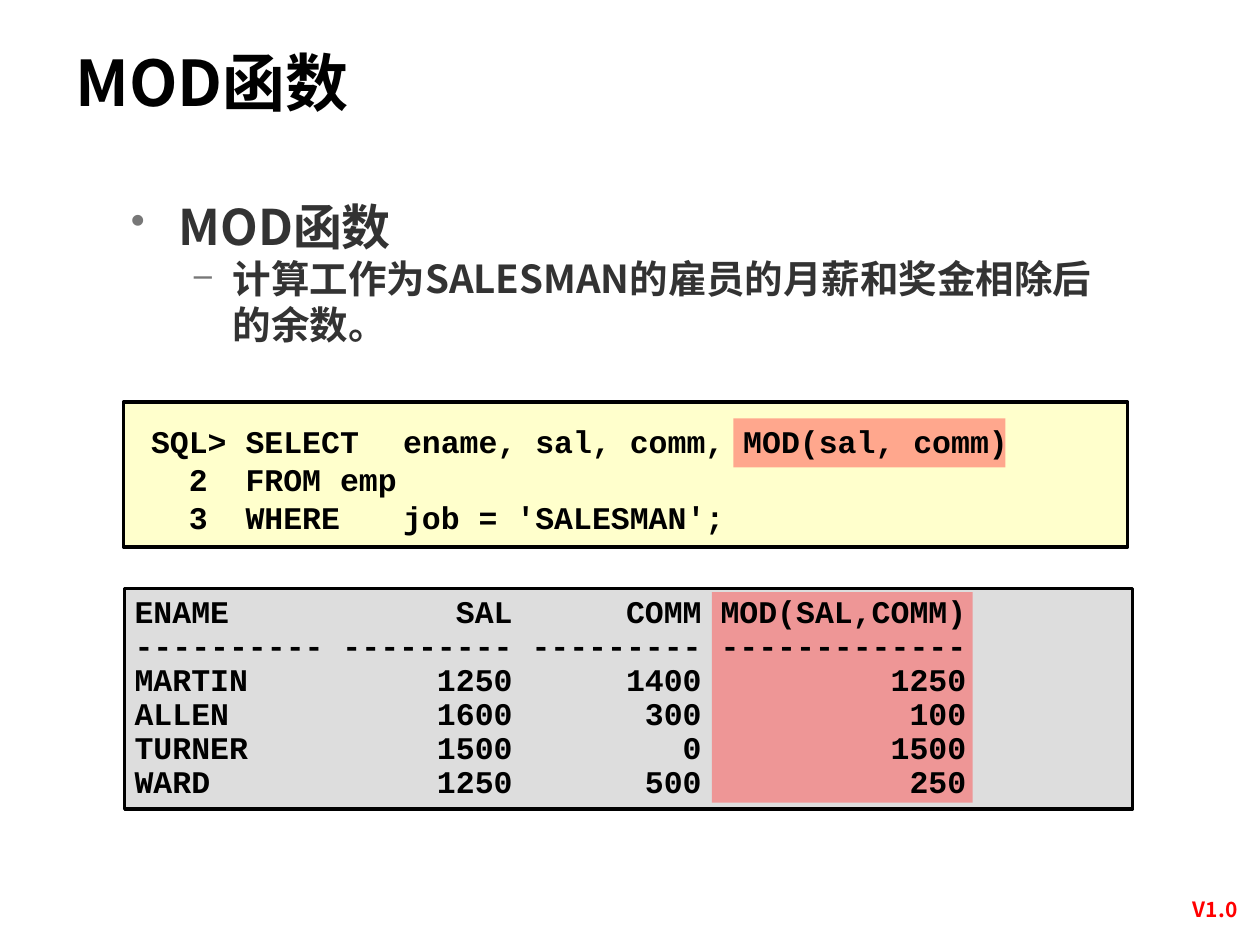
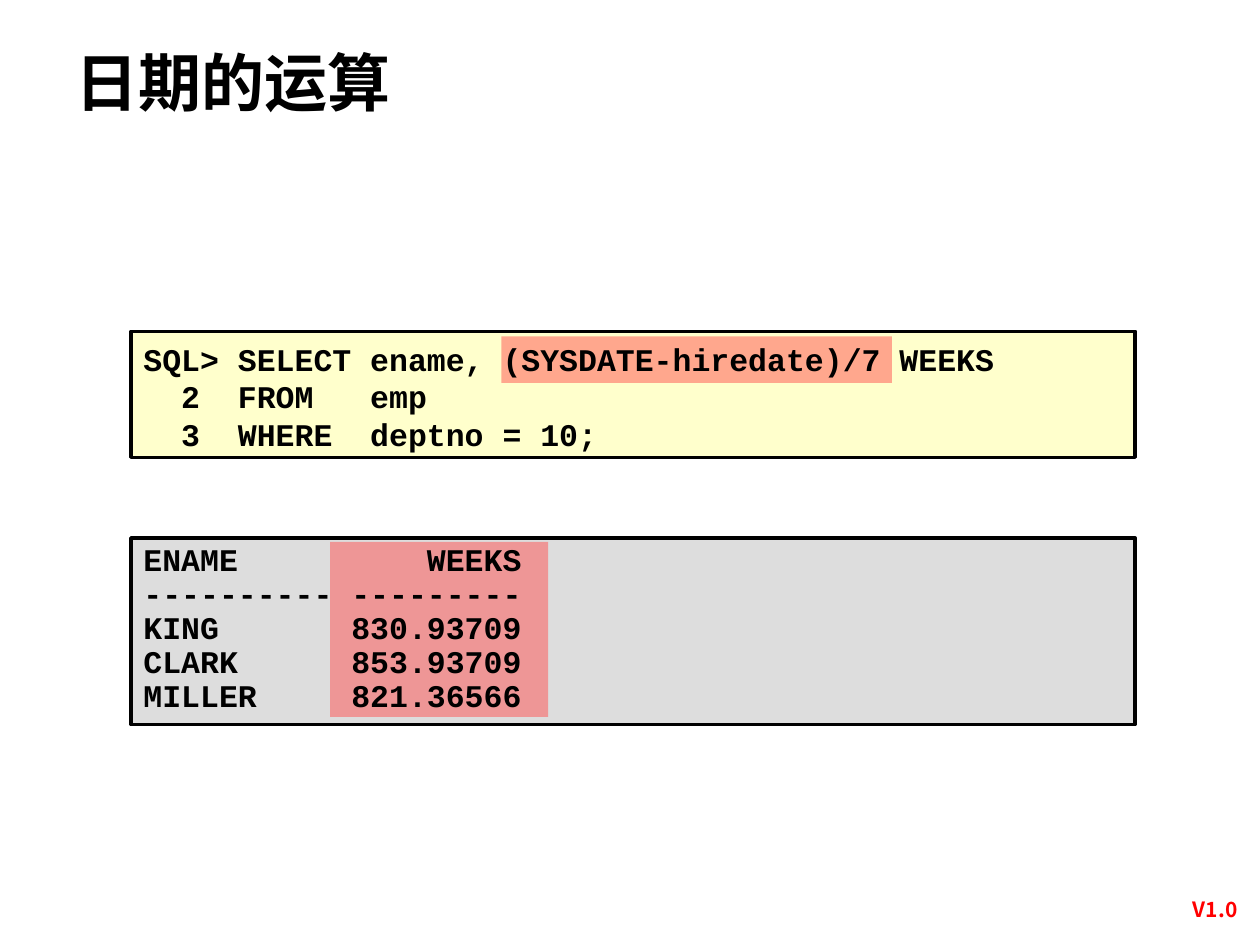
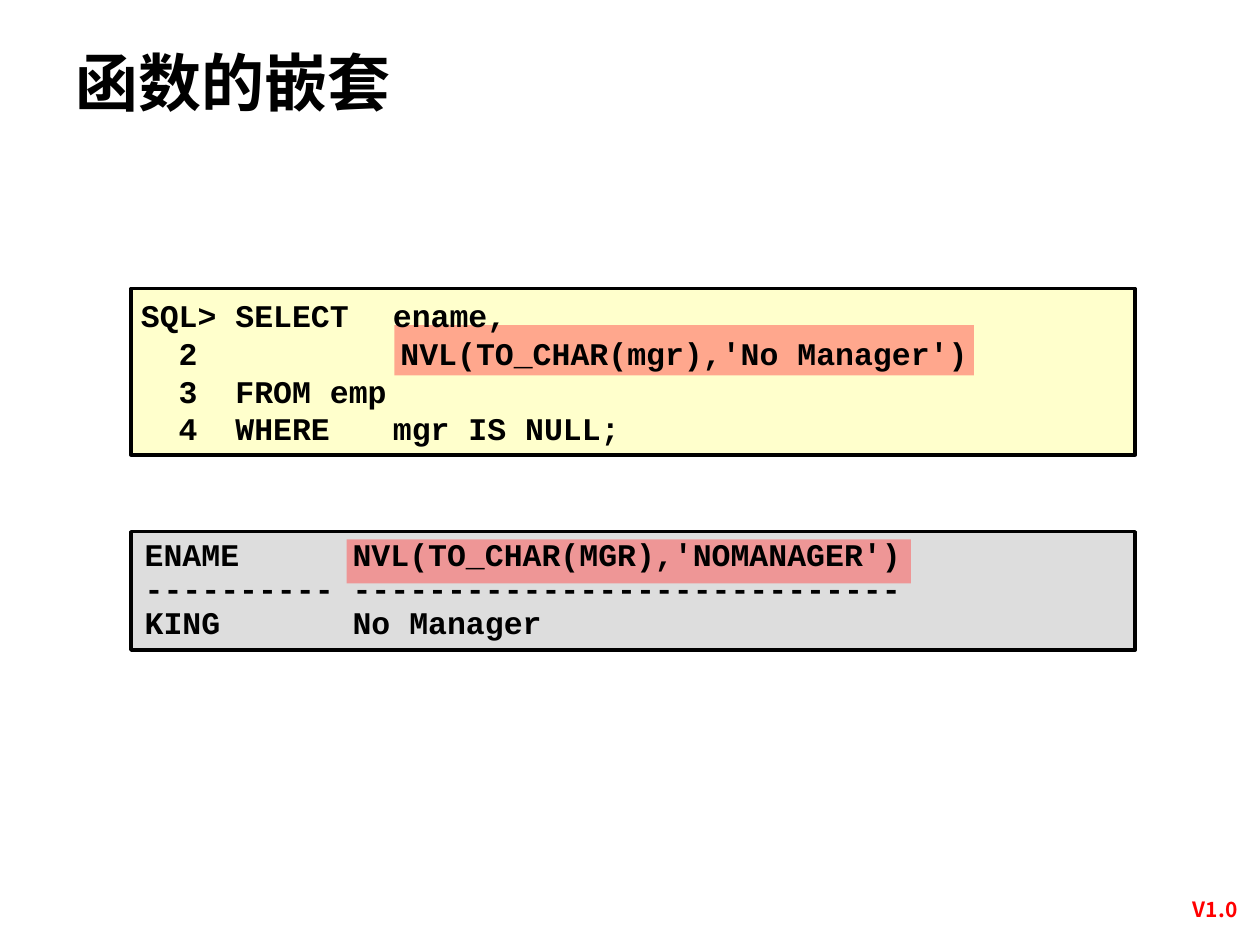
from lxml.etree import SubElement
from pptx import Presentation
from pptx.dml.color import RGBColor
from pptx.enum.shapes import MSO_SHAPE
from pptx.enum.text import MSO_ANCHOR, MSO_AUTO_SIZE, PP_ALIGN
from pptx.oxml.ns import qn
from pptx.util import Inches, Pt

COLORS = {
    "black": "000000",
    "body": "333333",
    "bullet": "777777",
    "code": "FFFFCC",
    "result": "DDDDDD",
    "highlight": "FF5050",
    "version": "FF0000",
}
SANS = "Noto Sans CJK SC"
MONO = "Courier New"
TAB_STOP = 1.31


def color(name):
    """Return the named colour."""
    return RGBColor.from_string(COLORS[name])


def add_bullet(paragraph, character, margin, hanging):
    """Give a paragraph a hanging bullet."""
    properties = paragraph._p.get_or_add_pPr()
    properties.set("marL", str(Inches(margin)))
    properties.set("indent", str(-Inches(hanging)))
    bullet_color = SubElement(properties, qn("a:buClr"))
    SubElement(bullet_color, qn("a:srgbClr"), val=COLORS["bullet"])
    SubElement(properties, qn("a:buSzPct"), val="85000")
    SubElement(properties, qn("a:buChar"), char=character)


def add_tab_stop(paragraph, position):
    """Give a paragraph one left tab stop."""
    tabs = SubElement(paragraph._p.get_or_add_pPr(), qn("a:tabLst"))
    SubElement(tabs, qn("a:tab"), pos=str(Inches(position)), algn="l")


def write_text(paragraph, text, *, size, font=SANS, fill="black",
               align=None, spacing=None, tab=None):
    """Write bold text into a paragraph in the given format."""
    if tab:
        add_tab_stop(paragraph, tab)
    paragraph.alignment = align
    paragraph.line_spacing = spacing
    run = paragraph.add_run()
    run.text = text
    run.font.size = Pt(size)
    run.font.bold = True
    run.font.name = font
    run.font.color.rgb = color(fill)
    SubElement(run._r.get_or_add_rPr(), qn("a:ea"), typeface=font)


def add_paragraphs(slide, box, count, anchor=MSO_ANCHOR.TOP, grow=True):
    """Add a wrapping text box and return its empty paragraphs."""
    frame = slide.shapes.add_textbox(*map(Inches, box)).text_frame
    frame.word_wrap = True
    frame.auto_size = MSO_AUTO_SIZE.SHAPE_TO_FIT_TEXT if grow else MSO_AUTO_SIZE.NONE
    frame.vertical_anchor = anchor
    for _ in range(count - 1):
        frame.add_paragraph()
    return frame.paragraphs


def add_rectangle(slide, box, fill):
    """Add a plain filled rectangle without a line."""
    shape = slide.shapes.add_shape(MSO_SHAPE.RECTANGLE, *map(Inches, box))
    shape.shadow.inherit = False
    shape.fill.solid()
    shape.fill.fore_color.rgb = color(fill)
    shape.line.fill.background()
    return shape


def add_panel(slide, box, fill):
    """Add a panel with a black outline."""
    shape = add_rectangle(slide, box, fill)
    shape.line.color.rgb = color("black")
    shape.line.width = Pt(2)


def add_highlight(slide, box):
    """Add a half-transparent red mark."""
    shape = add_rectangle(slide, box, "highlight")
    rgb = shape._element.spPr.find(qn("a:solidFill")).find(qn("a:srgbClr"))
    SubElement(rgb, qn("a:alpha"), val="50000")


def add_listing(slide, lines, box, *, spacing=None, tab=None, **frame_format):
    """Add lines of monospaced text."""
    paragraphs = add_paragraphs(slide, box, len(lines), **frame_format)
    for paragraph, line in zip(paragraphs, lines):
        write_text(paragraph, line, size=18, font=MONO, spacing=spacing, tab=tab)


def add_query(slide, lines, box, **frame_format):
    """Add the lines of a query."""
    add_listing(slide, lines, box, **frame_format)


def add_centered_query(slide, lines, box):
    """Add a query centred on the height of its box."""
    add_query(slide, lines, box, tab=TAB_STOP, anchor=MSO_ANCHOR.MIDDLE, grow=False)


def add_result(slide, lines, box):
    """Add the tightly spaced output of a query."""
    add_listing(slide, lines, box, spacing=0.9, tab=TAB_STOP)


def add_topic(slide, heading, detail):
    """Add a bulleted heading with one point below it."""
    first, second = add_paragraphs(slide, (0.94, 1.51, 8.08, 1.31), 2)
    add_bullet(first, "•", 0.38, 0.38)
    write_text(first, heading, size=28, fill="body")
    second.level = 1
    add_bullet(second, "–", 0.81, 0.31)
    write_text(second, detail, size=22, fill="body")


def add_slide(presentation, title):
    """Add a slide with its title and version mark."""
    slide = presentation.slides.add_slide(presentation.slide_layouts[6])
    version = add_paragraphs(slide, (9.25, 7.07, 0.79, 0.3), 1)[0]
    write_text(version, "V1.0", size=12, fill="version", align=PP_ALIGN.CENTER)
    heading = add_paragraphs(slide, (0.5, 0.3, 7.97, 0.77), 1, grow=False)[0]
    write_text(heading, title, size=36)
    return slide


def add_example_panels(slide, query_box, result_box, highlights):
    """Add the query and result panels and their highlights."""
    add_panel(slide, query_box, "code")
    add_panel(slide, result_box, "result")
    for box in highlights:
        add_highlight(slide, box)


def add_mod_slide(presentation):
    """Add the slide on the MOD function."""
    slide = add_slide(presentation, "MOD函数")
    add_topic(slide, "MOD函数", "计算工作为SALESMAN的雇员的月薪和奖金相除后的余数。")
    add_example_panels(slide, (0.98, 3.19, 7.97, 1.15), (0.99, 4.67, 8, 1.75),
                       [(5.82, 3.32, 2.16, 0.39), (5.65, 4.7, 2.07, 1.67)])
    add_query(slide, [
        "SQL> SELECT\tename, sal, comm, MOD(sal, comm)",
        "  2  FROM\temp",
        "  3  WHERE\tjob = 'SALESMAN';",
    ], (1.1, 3.3, 7.82, 1.3))
    add_result(slide, [
        "ENAME            SAL      COMM MOD(SAL,COMM)",
        "---------- --------- --------- -------------",
        "MARTIN          1250      1400          1250",
        "ALLEN           1600       300           100",
        "TURNER          1500         0          1500",
        "WARD            1250       500           250",
    ], (0.97, 4.68, 7.97, 1.74))


def add_date_slide(presentation):
    """Add the slide on date arithmetic."""
    slide = add_slide(presentation, "日期的运算")
    add_example_panels(slide, (1.04, 2.63, 7.97, 1), (1.04, 4.27, 7.97, 1.48),
                       [(3.98, 2.67, 3.1, 0.37), (2.62, 4.3, 1.73, 1.39)])
    add_centered_query(slide, [
        "SQL> SELECT ename, (SYSDATE-hiredate)/7 WEEKS",
        "  2  FROM   emp",
        "  3  WHERE  deptno = 10;",
    ], (1.04, 2.36, 8, 1.57))
    add_result(slide, [
        "ENAME          WEEKS",
        "---------- ---------",
        "KING       830.93709",
        "CLARK      853.93709",
        "MILLER     821.36566",
    ], (1.04, 4.27, 7.97, 1.47))


def add_nesting_slide(presentation):
    """Add the slide on nested functions."""
    slide = add_slide(presentation, "函数的嵌套")
    add_example_panels(slide, (1.04, 2.29, 7.97, 1.32), (1.04, 4.22, 7.97, 0.94),
                       [(3.13, 2.58, 4.6, 0.4), (2.75, 4.28, 4.48, 0.35)])
    add_centered_query(slide, [
        "SQL> SELECT\tename,",
        "  2\t     NVL(TO_CHAR(mgr),'No Manager')",
        "  3  FROM\temp",
        "  4  WHERE\tmgr IS NULL;",
    ], (1.02, 2.15, 8, 1.6))
    add_result(slide, [
        "ENAME      NVL(TO_CHAR(MGR),'NOMANAGER')",
        "---------- -----------------------------",
        "KING       No Manager",
    ], (1.05, 4.23, 7.94, 0.93))


def main():
    """Build and save the presentation."""
    presentation = Presentation()
    presentation.slide_width = Inches(10)
    presentation.slide_height = Inches(7.5)
    add_mod_slide(presentation)
    add_date_slide(presentation)
    add_nesting_slide(presentation)
    presentation.save("out.pptx")


if __name__ == "__main__":
    main()
